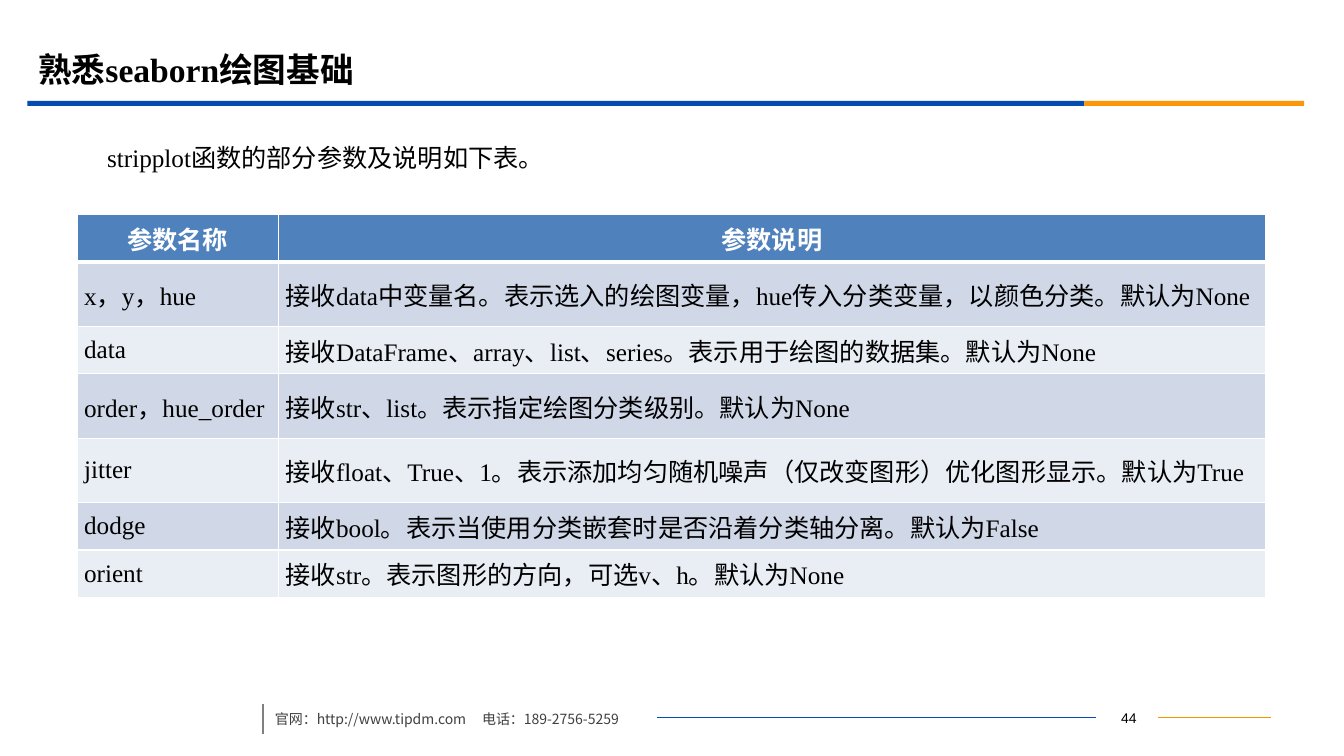
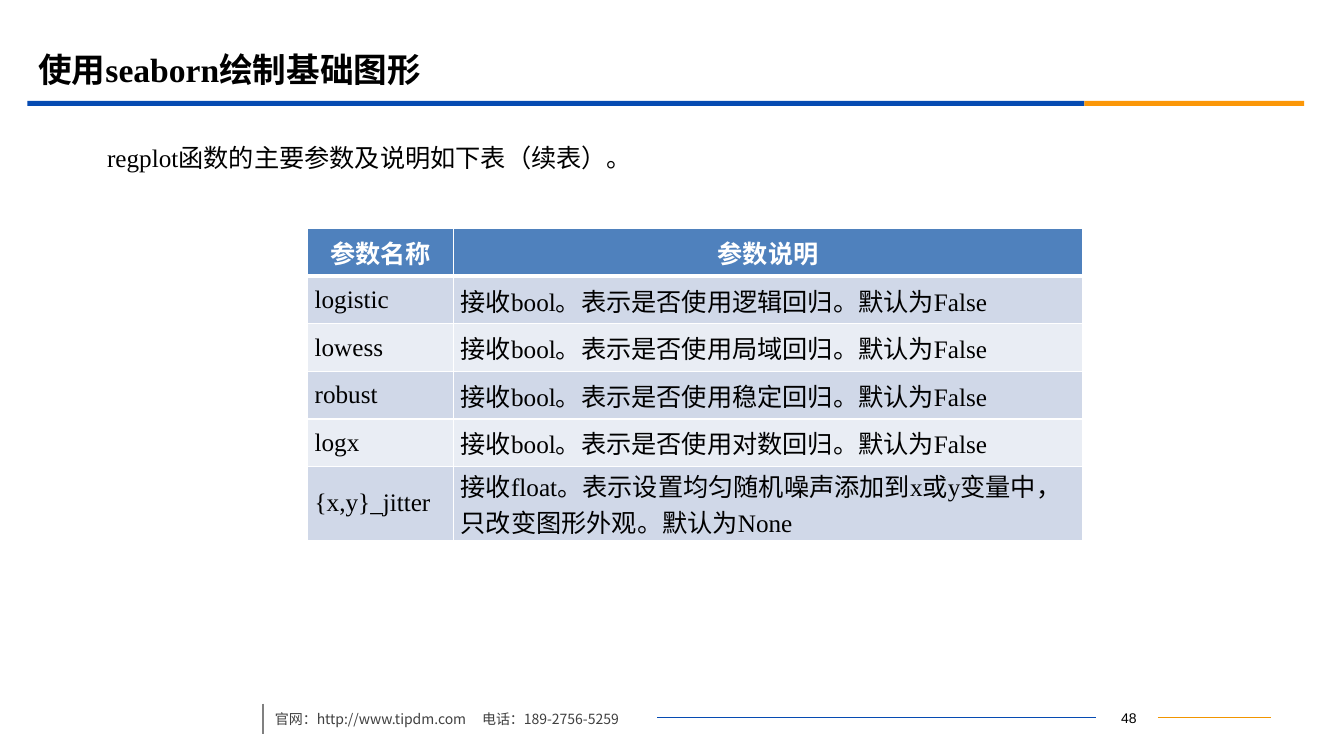
"""Build two slides that explain the parameters of seaborn plotting functions."""
from dataclasses import dataclass

from lxml.etree import SubElement
from pptx import Presentation
from pptx.dml.color import RGBColor
from pptx.enum.lang import MSO_LANGUAGE_ID
from pptx.enum.shapes import MSO_CONNECTOR, MSO_SHAPE
from pptx.enum.text import MSO_ANCHOR, MSO_AUTO_SIZE, PP_ALIGN
from pptx.oxml.ns import qn
from pptx.util import Cm, Pt

COLORS = {
    "blue": "064BB2",
    "orange": "FB9708",
    "rule_orange": "F19500",
    "rule_gray": "808080",
    "contact": "404040",
    "text": "000000",
    "white": "FFFFFF",
    "header": "4F81BD",
    "odd_row": "D0D8E8",
    "even_row": "E9EDF4",
}
SERIF = "Times New Roman"
SANS = "Arial"
CHINESE = "Noto Sans CJK SC"
CONTACT = "官网：http://www.tipdm.com\t电话：189-2756-5259"
ROW_HEIGHT = 1.2
MIXED_ROW_HEIGHT = 1.62
CHINESE_ROW_HEIGHT = 1.85
RULE_Y = 18.07


@dataclass(frozen=True)
class Band:
    left: float
    width: float
    color: str


@dataclass(frozen=True)
class Parameter:
    name: str
    meaning: str
    height: float = ROW_HEIGHT


@dataclass(frozen=True)
class ParameterSlide:
    title: str
    intro: str
    number: int
    left: float
    top: float
    widths: tuple[float, float]
    parameters: tuple[Parameter, ...]


BANDS = (Band(0.69, 26.64, "blue"), Band(27.33, 5.54, "orange"))
HEADINGS = Parameter("参数名称", "参数说明")

SLIDES = (
    ParameterSlide(
        "熟悉seaborn绘图基础",
        "stripplot函数的部分参数及说明如下表。",
        44, 1.94, 5.4, (5.08, 24.87),
        (
            Parameter("x，y，hue", "接收data中变量名。表示选入的绘图变量，hue传入分类变量，以颜色分类。默认为None",
                      MIXED_ROW_HEIGHT),
            Parameter("data", "接收DataFrame、array、list、series。表示用于绘图的数据集。默认为None"),
            Parameter("order，hue_order", "接收str、list。表示指定绘图分类级别。默认为None",
                      MIXED_ROW_HEIGHT),
            Parameter("jitter", "接收float、True、1。表示添加均匀随机噪声（仅改变图形）优化图形显示。默认为True",
                      MIXED_ROW_HEIGHT),
            Parameter("dodge", "接收bool。表示当使用分类嵌套时是否沿着分类轴分离。默认为False"),
            Parameter("orient", "接收str。表示图形的方向，可选v、h。默认为None"),
        ),
    ),
    ParameterSlide(
        "使用seaborn绘制基础图形",
        "regplot函数的主要参数及说明如下表（续表）。",
        48, 7.75, 5.76, (3.68, 15.85),
        (
            Parameter("logistic", "接收bool。表示是否使用逻辑回归。默认为False"),
            Parameter("lowess", "接收bool。表示是否使用局域回归。默认为False"),
            Parameter("robust", "接收bool。表示是否使用稳定回归。默认为False"),
            Parameter("logx", "接收bool。表示是否使用对数回归。默认为False"),
            Parameter("{x,y}_jitter", "接收float。表示设置均匀随机噪声添加到x或y变量中，只改变图形外观。默认为None",
                      CHINESE_ROW_HEIGHT),
        ),
    ),
)


def rgb(color: str) -> RGBColor:
    return RGBColor.from_string(COLORS[color])


def format_runs(paragraph, size: float, font: str, color: str, bold: bool = False) -> None:
    for run in paragraph.runs:
        run.font.size = Pt(size)
        run.font.bold = bold
        run.font.color.rgb = rgb(color)
        run.font.name = font
        run.font.language_id = MSO_LANGUAGE_ID.SIMPLIFIED_CHINESE
        properties = run.font._element
        latin = properties.find(qn("a:latin"))
        east_asian = SubElement(properties, qn("a:ea"), typeface=CHINESE)
        latin.addnext(east_asian)


def add_text(slide, text: str, left: float, top: float, width: float, height: float):
    box = slide.shapes.add_textbox(Cm(left), Cm(top), Cm(width), Cm(height))
    box.text_frame.word_wrap = True
    box.text_frame.text = text
    return box


def add_rule(slide, start: tuple[float, float], end: tuple[float, float],
             color: str, weight: float):
    rule = slide.shapes.add_connector(
        MSO_CONNECTOR.STRAIGHT, Cm(start[0]), Cm(start[1]), Cm(end[0]), Cm(end[1]))
    rule.line.color.rgb = rgb(color)
    rule.line.width = Pt(weight)
    SubElement(rule._element.spPr, qn("a:effectLst"))
    return rule


def add_bands(slide) -> None:
    for band in BANDS:
        bar = slide.shapes.add_shape(
            MSO_SHAPE.RECTANGLE, Cm(band.left), Cm(2.54), Cm(band.width), Cm(0.13))
        bar.shadow.inherit = False
        bar.fill.solid()
        bar.fill.fore_color.rgb = rgb(band.color)
        bar.line.fill.background()


def add_footer(slide, number: int) -> None:
    page_number = add_text(slide, str(number), 27.61, 17.75, 1.57, 0.64)
    page_number.text_frame.margin_left = Cm(0.36)
    numeral = page_number.text_frame.paragraphs[0]
    numeral.alignment = PP_ALIGN.CENTER
    format_runs(numeral, 10, SANS, "text")

    right_rule = add_rule(slide, (29.18, RULE_Y), (32.03, RULE_Y), "rule_orange", 0.75)
    right_rule.begin_connect(page_number, 3)
    left_rule = add_rule(slide, (16.56, RULE_Y), (27.61, RULE_Y), "blue", 0.75)
    left_rule.end_connect(page_number, 1)
    add_rule(slide, (6.63, 17.73), (6.63, 18.49), "rule_gray", 1.25)

    contact = add_text(slide, CONTACT, 6.68, 17.56, 13.61, 0.89).text_frame.paragraphs[0]
    contact.line_spacing = 1.5
    tabs = SubElement(contact._p.get_or_add_pPr(), qn("a:tabLst"))
    SubElement(tabs, qn("a:tab"), pos=str(Cm(5.22)), algn="l")
    format_runs(contact, 10, CHINESE, "contact")


def set_title(slide, text: str) -> None:
    title = slide.shapes.title
    title.left, title.top, title.width, title.height = Cm(0.71), Cm(1.01), Cm(30.48), Cm(1.47)
    frame = title.text_frame
    frame.text = text
    frame.auto_size = MSO_AUTO_SIZE.NONE
    frame.vertical_anchor = MSO_ANCHOR.MIDDLE
    heading = frame.paragraphs[0]
    heading.alignment = PP_ALIGN.LEFT
    format_runs(heading, 24, SERIF, "text", True)


def add_intro(slide, text: str) -> None:
    intro = add_text(slide, text, 1.18, 3.07, 30.86, 1.6).text_frame.paragraphs[0]
    intro.line_spacing = 1.5
    intro._p.get_or_add_pPr().set("indent", str(Cm(1.27)))
    format_runs(intro, 18, SERIF, "text")


def underline_header(cell) -> None:
    properties = cell._tc.get_or_add_tcPr()
    border = SubElement(properties, qn("a:lnB"), w=str(Pt(3)))
    fill = SubElement(border, qn("a:solidFill"))
    SubElement(fill, qn("a:srgbClr"), val=COLORS["white"])
    properties.insert(0, border)


def add_parameters(slide, content: ParameterSlide) -> None:
    rows = (HEADINGS, *content.parameters)
    table = slide.shapes.add_table(
        len(rows), len(content.widths), Cm(content.left), Cm(content.top),
        Cm(sum(content.widths)), Cm(sum(row.height for row in rows))).table
    for column, width in zip(table.columns, content.widths):
        column.width = Cm(width)
    for row_index, row in enumerate(rows):
        table.rows[row_index].height = Cm(row.height)
        is_header = row_index == 0
        fill = "header" if is_header else "odd_row" if row_index % 2 else "even_row"
        for column_index, text in enumerate((row.name, row.meaning)):
            cell = table.cell(row_index, column_index)
            cell.margin_left = cell.margin_right = Cm(0.18)
            cell.margin_top = cell.margin_bottom = Cm(0)
            cell.vertical_anchor = MSO_ANCHOR.MIDDLE
            cell.fill.solid()
            cell.fill.fore_color.rgb = rgb(fill)
            if is_header:
                underline_header(cell)
            cell.text_frame.text = text
            entry = cell.text_frame.paragraphs[0]
            entry.alignment = PP_ALIGN.CENTER if is_header else PP_ALIGN.LEFT
            format_runs(entry, 18, SERIF, "white" if is_header else "text", is_header)


def main() -> None:
    deck = Presentation()
    deck.slide_width, deck.slide_height = Cm(33.87), Cm(19.05)
    title_only = deck.slide_layouts[5]
    for content in SLIDES:
        slide = deck.slides.add_slide(title_only)
        add_bands(slide)
        add_footer(slide, content.number)
        add_intro(slide, content.intro)
        set_title(slide, content.title)
        add_parameters(slide, content)
    deck.save("out.pptx")


if __name__ == "__main__":
    main()
